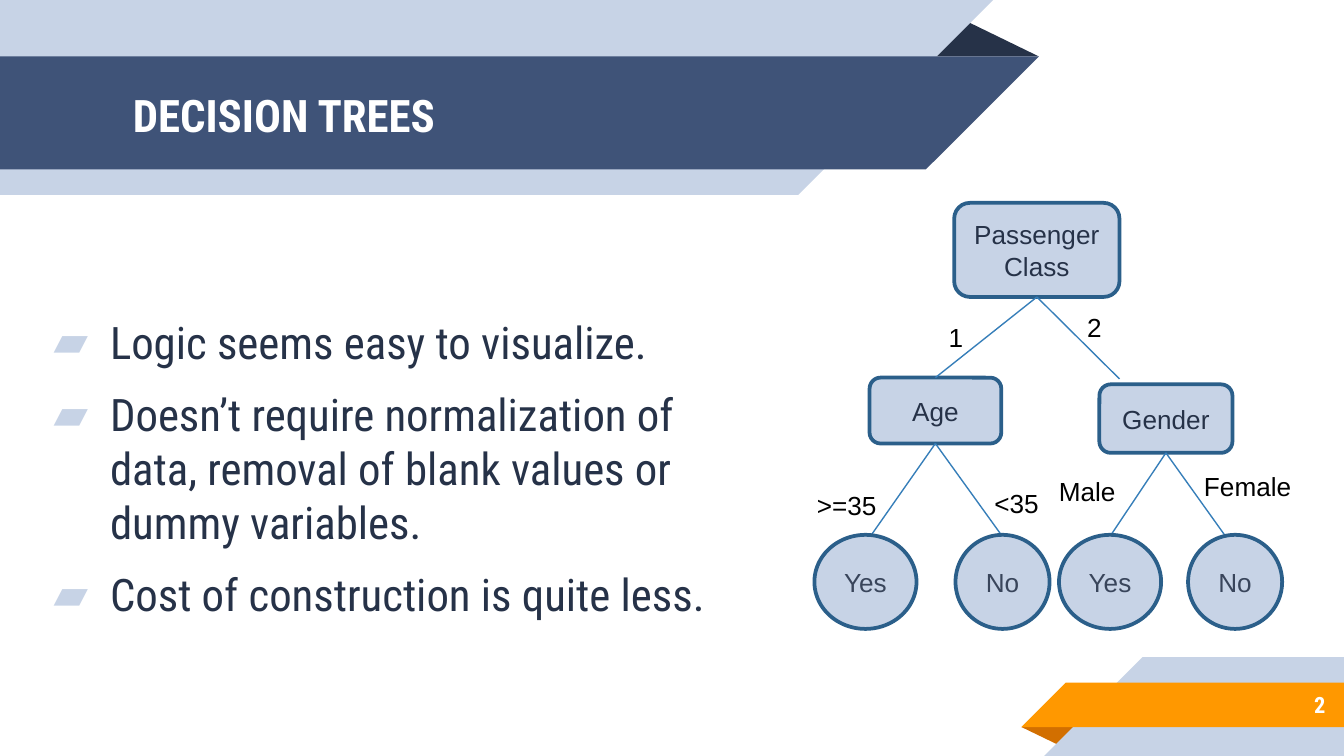
from dataclasses import dataclass

from lxml.etree import SubElement
from pptx import Presentation
from pptx.dml.color import RGBColor
from pptx.enum.shapes import MSO_CONNECTOR as Connector, MSO_SHAPE as Shape
from pptx.enum.text import MSO_ANCHOR as Anchor, PP_ALIGN as Align
from pptx.oxml.ns import qn
from pptx.util import Inches, Pt


@dataclass(frozen=True)
class Theme:
    pale: str = "C7D3E6"
    navy: str = "3F5378"
    ink: str = "263248"
    leaf_ink: str = "39455B"
    orange: str = "FF9800"
    rust: str = "D26F00"
    outline: str = "2B5F8A"
    branch: str = "367EB9"
    white: str = "FFFFFF"
    black: str = "000000"
    display: str = "Roboto Condensed"
    plain: str = "Arial"
    large: int = 24
    medium: int = 14
    small: int = 12


THEME = Theme()
WIDTH, HEIGHT = Inches(10), Inches(5.625)
COLUMNS = 100
CELL = WIDTH / COLUMNS
ROWS = HEIGHT / CELL

TITLE = "DECISION TREES"
PAGE_NUMBER = "2"
POINTS = [
    "Logic seems easy to visualize.",
    "Doesn’t require normalization of data, removal of blank values or dummy variables.",
    "Cost of construction is quite less.",
]
RIBBONS = [
    (THEME.ink, [(68.8, 4.2), (71.55, 1.4), (77.3, 4.2)]),
    (THEME.pale, [(0, 0), (73.9, 0), (59.4, 14.5), (0, 14.5)]),
    (THEME.navy, [(0, 4.2), (77.3, 4.2), (68.9, 12.6), (0, 12.6)]),
    (THEME.rust, [(76, 54.1), (80.3, 54.1), (78.9, 55.5)]),
    (THEME.pale, [(85, 48.9), (COLUMNS, 48.9), (COLUMNS, ROWS), (77.7, ROWS)]),
    (THEME.orange, [(79.3, 50.8), (COLUMNS, 50.8), (COLUMNS, 54.1), (76, 54.1)]),
]
DECISIONS = {
    "Passenger Class": (71, 15.1, 12.3, 7),
    "Age": (64.7, 28.1, 9.8, 4.9),
    "Gender": (81.8, 28.6, 9.9, 5.1),
}
LEAF_TOP, LEAF_HEIGHT = 39.8, 7
LEAVES = [("Yes", 60.6, 7.6), ("No", 71.1, 7), ("Yes", 78.8, 7.6), ("No", 88.4, 7)]
BRANCHES = [
    ("Passenger Class", "Age"),
    ("Passenger Class", (83.3, 28.2)),
    ("Age", (64.7, 40)),
    ("Age", (74.5, 39.8)),
    ("Gender", (82.6, 39.9)),
    ("Gender", (91.4, 40.2)),
]
LABEL_HEIGHT = 3.4
LABELS = [
    ("1", 69.6, 23.4, 3.2),
    ("2", 79.9, 22.7, 3.2),
    (">=35", 59.8, 35.9, 6.5),
    ("<35", 73, 35.8, 6.5),
    ("Male", 77.8, 34.9, 6.7),
    ("Female", 88.6, 34.5, 9.5),
]


def cells(*values):
    return [round(value * CELL) for value in values]


def color(code):
    return RGBColor.from_string(code)


def paint(shape, fill, outline=None):
    shape.shadow.inherit = False
    shape.fill.solid()
    shape.fill.fore_color.rgb = color(fill)
    if outline:
        shape.line.color.rgb = color(outline)
        shape.line.width = Pt(2)
    else:
        shape.line.fill.background()


def write(box, texts, font, size, ink, bold=False, align=Align.LEFT, anchor=Anchor.MIDDLE):
    frame = box.text_frame
    frame.word_wrap = True
    frame.vertical_anchor = anchor
    frame.text = "\n".join(texts)
    for para in frame.paragraphs:
        para.alignment = align
        para.font.name = font
        para.font.size = Pt(size)
        para.font.bold = bold
        para.font.color.rgb = color(ink)
    return frame


def add_text(page, area, texts, *style, inset=1, **options):
    box = page.shapes.add_textbox(*cells(*area))
    frame = write(box, texts, *style, **options)
    frame.margin_top = frame.margin_bottom = cells(inset)[0]
    return frame


def add_ribbon(page, fill, corners):
    points = [cells(*corner) for corner in corners]
    builder = page.shapes.build_freeform(*points[0])
    builder.add_line_segments(points[1:], close=True)
    paint(builder.convert_to_shape(), fill)


def add_bullet(para):
    properties = para._p.get_or_add_pPr()
    properties.set("marL", str(Inches(0.5)))
    properties.set("indent", str(-Inches(0.42)))
    tint = SubElement(properties, qn("a:buClr"))
    SubElement(tint, qn("a:srgbClr"), val=THEME.pale)
    SubElement(properties, qn("a:buFont"), typeface=THEME.display)
    SubElement(properties, qn("a:buChar"), char="▰")


def add_node(page, kind, text, area, ink):
    node = page.shapes.add_shape(kind, *cells(*area))
    paint(node, THEME.pale, THEME.outline)
    write(node, [text], THEME.plain, THEME.medium, ink, align=Align.CENTER)
    return node


def add_branch(page, parent, target, nodes):
    end = (0, 0) if target in nodes else cells(*target)
    branch = page.shapes.add_connector(Connector.STRAIGHT, 0, 0, *end)
    branch.begin_connect(nodes[parent], 2)
    if target in nodes:
        branch.end_connect(nodes[target], 0)
    branch.line.color.rgb = color(THEME.branch)
    branch.line.width = Pt(0.75)
    SubElement(branch._element.spPr, qn("a:effectLst"))


def main():
    deck = Presentation()
    deck.slide_width, deck.slide_height = WIDTH, HEIGHT
    page = deck.slides.add_slide(deck.slide_layouts[6])

    for fill, corners in RIBBONS:
        add_ribbon(page, fill, corners)

    add_text(page, (8.9, 4.3, 60.1, 8.4), [TITLE],
             THEME.display, THEME.large, THEME.white, bold=True)
    body = add_text(page, (2.2, 17.6, 55.2, 34.4), POINTS,
                    THEME.display, THEME.large, THEME.ink)
    for index, para in enumerate(body.paragraphs):
        para.space_before = Pt(10 if index else 0)
        add_bullet(para)
    add_text(page, (83.3, 50.7, 16.3, 3.5), [PAGE_NUMBER],
             THEME.display, THEME.small, THEME.white, bold=True, align=Align.RIGHT)

    nodes = {text: add_node(page, Shape.ROUNDED_RECTANGLE, text, area, THEME.ink)
             for text, area in DECISIONS.items()}
    for parent, target in BRANCHES:
        add_branch(page, parent, target, nodes)
    for text, left, top, width in LABELS:
        add_text(page, (left, top, width, LABEL_HEIGHT), [text], THEME.plain,
                 THEME.medium, THEME.black, inset=0.5, anchor=Anchor.TOP)
    for text, left, width in LEAVES:
        add_node(page, Shape.OVAL, text, (left, LEAF_TOP, width, LEAF_HEIGHT), THEME.leaf_ink)

    deck.save("out.pptx")


if __name__ == "__main__":
    main()
